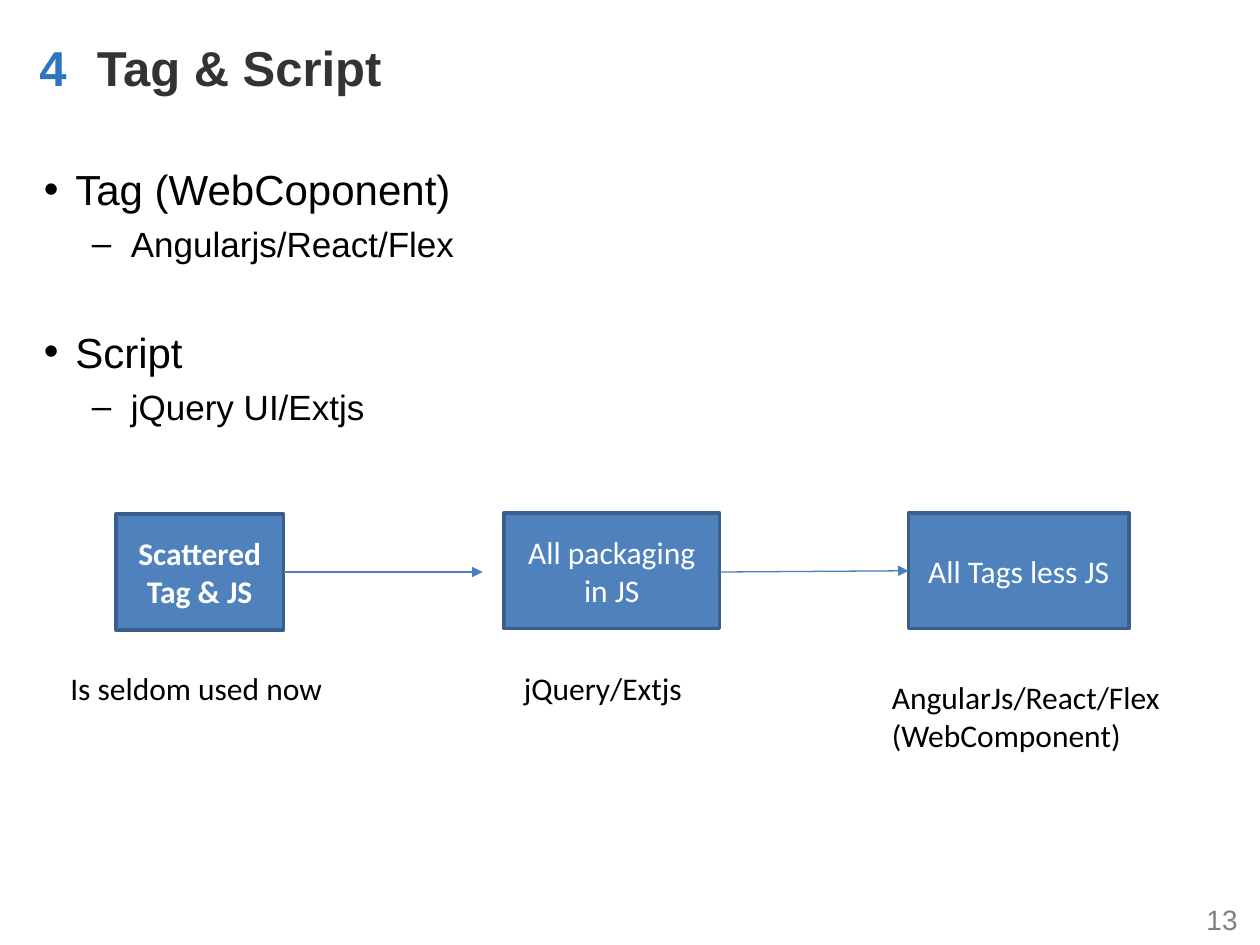
from pptx import Presentation
from pptx import util as u
from pptx.dml.color import RGBColor
from pptx.enum import shapes, text
from pptx.oxml import ns
from lxml import etree

COLORS = {
    "accent": "2D75BC",
    "title": "333333",
    "body": "000000",
    "number": "808080",
    "box": "4F81BD",
    "border": "3A5F8C",
    "arrow": "4B7EBC",
    "light": "FFFFFF",
}
LEFT, CENTER, RIGHT = text.PP_ALIGN.LEFT, text.PP_ALIGN.CENTER, text.PP_ALIGN.RIGHT
TOP, MIDDLE = text.MSO_ANCHOR.TOP, text.MSO_ANCHOR.MIDDLE


def color(name):
    return RGBColor.from_string(COLORS[name])


def inches(*lengths):
    return [u.Inches(length) for length in lengths]


class SlideBuilder:
    heading_font = "Arial"
    diagram_font = "Calibri"

    def __init__(self, slide):
        self.slide = slide

    def style(self, paragraph, font, size, fill, bold=False, align=LEFT):
        paragraph.alignment = align
        for run in paragraph.runs:
            run.font.name = font
            run.font.size = u.Pt(size)
            run.font.bold = bold
            run.font.color.rgb = color(fill)

    def text_box(self, place, words, font, size, fill, bold=False, align=LEFT, anchor=TOP):
        frame = self.slide.shapes.add_textbox(*inches(*place)).text_frame
        frame.word_wrap = True
        frame.vertical_anchor = anchor
        frame.text = words
        for paragraph in frame.paragraphs:
            self.style(paragraph, font, size, fill, bold, align)

    def bullets(self, place, items):
        """Each item is (words, level, space before in points)."""
        levels = [("•", 0.25, 0.25, 24), ("–", 0.69, 0.31, 20)]
        frame = self.slide.shapes.add_textbox(*inches(*place)).text_frame
        frame.word_wrap = True
        frame.text = "\n".join(words for words, _, _ in items)
        for paragraph, (_, level, space) in zip(frame.paragraphs, items):
            mark, margin, hanging, size = levels[level]
            paragraph.level = level
            properties = paragraph._p.get_or_add_pPr()
            properties.set("marL", str(u.Inches(margin)))
            properties.set("indent", str(-u.Inches(hanging)))
            font = etree.SubElement(properties, ns.qn("a:buFont"))
            font.set("typeface", self.heading_font)
            etree.SubElement(properties, ns.qn("a:buChar")).set("char", mark)
            paragraph.space_before = u.Pt(space)
            self.style(paragraph, self.heading_font, size, "body")

    def box(self, place, words, bold=False):
        shape = self.slide.shapes.add_shape(shapes.MSO_SHAPE.RECTANGLE, *inches(*place))
        shape.shadow.inherit = False
        shape.fill.solid()
        shape.fill.fore_color.rgb = color("box")
        shape.line.color.rgb = color("border")
        shape.line.width = u.Pt(2)
        frame = shape.text_frame
        frame.word_wrap = True
        frame.vertical_anchor = MIDDLE
        frame.text = words
        self.style(frame.paragraphs[0], self.diagram_font, 18, "light", bold, CENTER)

    def arrow(self, start, end):
        connector = self.slide.shapes.add_connector(
            shapes.MSO_CONNECTOR.STRAIGHT, *inches(*start, *end))
        connector.line.color.rgb = color("arrow")
        connector.line.width = u.Pt(0.75)
        etree.SubElement(connector.line._get_or_add_ln(), ns.qn("a:tailEnd")).set("type", "triangle")
        etree.SubElement(connector._element.spPr, ns.qn("a:effectLst"))


def main():
    presentation = Presentation()
    presentation.slide_width, presentation.slide_height = inches(10, 7.5)
    builder = SlideBuilder(presentation.slides.add_slide(presentation.slide_layouts[6]))
    heading, diagram = builder.heading_font, builder.diagram_font

    # Page number and heading
    builder.text_box((9.42, 7.1, 0.5, 0.4), "13", heading, 16, "number", align=RIGHT, anchor=MIDDLE)
    builder.text_box((0.17, 0.25, 0.5, 0.57), "4", heading, 28, "accent", True, CENTER, MIDDLE)
    builder.text_box((0.67, 0.25, 8.75, 0.57), "Tag & Script", heading, 28, "title", True,
                     anchor=MIDDLE)

    # Bullet list, with a wider gap before the second topic
    builder.bullets((0.25, 1.25, 9.5, 5.9), [
        ("Tag (WebCoponent)", 0, 0),
        ("Angularjs/React/Flex", 1, 5),
        ("Script", 0, 35),
        ("jQuery UI/Extjs", 1, 5),
    ])

    # Evolution from scattered code to tags
    builder.box((0.92, 4.08, 1.33, 0.92), "Scattered Tag & JS", bold=True)
    builder.box((4, 4.07, 1.71, 0.92), "All packaging in JS")
    builder.box((7.21, 4.07, 1.75, 0.92), "All Tags less JS")
    builder.arrow((2.25, 4.54), (3.83, 4.54))
    builder.arrow((5.71, 4.54), (7.21, 4.53))

    # Captions under the boxes
    for place, words in [
        ((0.46, 5.26, 2.25, 0.4), "Is seldom used now"),
        ((4.06, 5.26, 2.17, 0.4), "jQuery/Extjs"),
        ((6.98, 5.33, 2.46, 0.71), "AngularJs/React/Flex\n(WebComponent)"),
    ]:
        builder.text_box(place, words, diagram, 18, "body")

    presentation.save("out.pptx")


if __name__ == "__main__":
    main()
